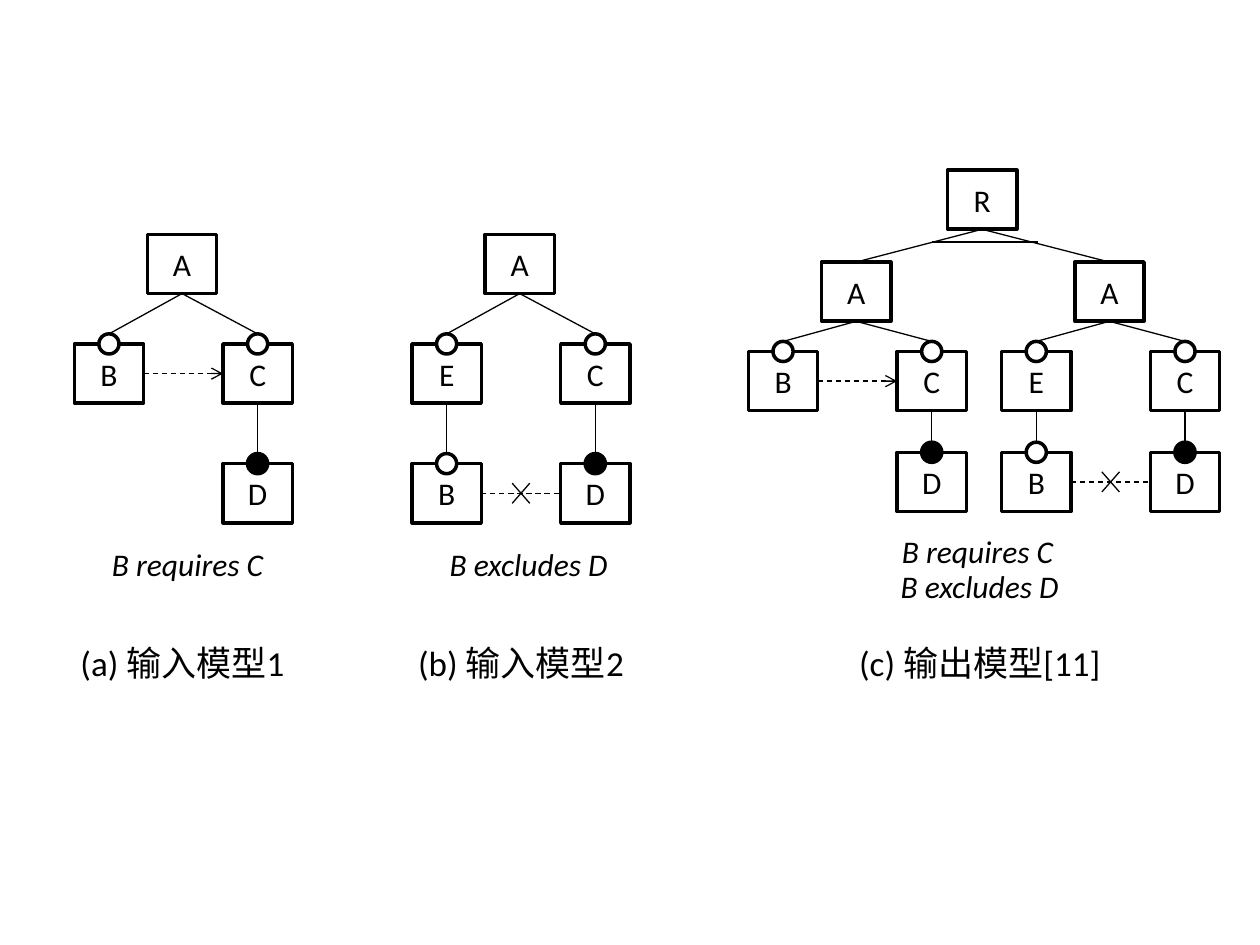
import pptx
import pptx.util
import pptx.dml.color
import pptx.enum.dml
import pptx.enum.shapes
import pptx.enum.text
from lxml import etree
from pptx.oxml.ns import qn

Inches, Pt = pptx.util.Inches, pptx.util.Pt
SHAPE = pptx.enum.shapes.MSO_SHAPE
COLORS = {"ink": "000000", "paper": "FFFFFF"}
FONT = "Calibri"

BOX_W, BOX_H, DOT = 0.55, 0.47, 0.16
COLUMNS = {"left": 0, "middle": 0.58, "right": 1.18}
INPUT_ROWS = (1.86, 2.73, 3.68)
OUTPUT_ROWS = (2.08, 2.79, 3.59)

# nodes: label, column, row, marker fill; edges: parent index, child index
REQUIRES = {
    "nodes": [("A", "middle", 0, None), ("B", "left", 1, "paper"),
              ("C", "right", 1, "paper"), ("D", "right", 2, "ink")],
    "edges": [(0, 1), (0, 2), (2, 3)],
    "constraint": ("requires", 1, 2),
}
EXCLUDES = {
    "nodes": [("A", "middle", 0, None), ("E", "left", 1, "paper"),
              ("C", "right", 1, "paper"), ("D", "right", 2, "ink"),
              ("B", "left", 2, "paper")],
    "edges": [(0, 1), (0, 2), (2, 3), (1, 4)],
    "constraint": ("excludes", 4, 3),
}
TREES = [
    (REQUIRES, 0.59, INPUT_ROWS),
    (EXCLUDES, 3.27, INPUT_ROWS),
    (REQUIRES, 5.94, OUTPUT_ROWS),
    (EXCLUDES, 7.95, OUTPUT_ROWS),
]
ROOT = ("R", 7.52, 1.35)
GROUP_BAR = (7.4, 8.24, 1.92)

# text, left, top, width
RULES = [
    ("B requires C", 0.79, 4.28, 1.42),
    ("B excludes D", 3.47, 4.28, 1.47),
    ("B requires C", 7.06, 4.17, 1.42),
    ("B excludes D", 7.05, 4.45, 1.47),
]
CAPTIONS = [
    ("(a) 输入模型1", 0.54, 5.04, 1.84),
    ("(b) 输入模型2", 3.22, 5.04, 1.85),
    ("(c) 输出模型[11]", 6.72, 5.04, 2.13),
]


def rgb(name):
    return pptx.dml.color.RGBColor.from_string(COLORS[name])


def set_font(p, size, italic=False):
    p.font.name, p.font.size, p.font.italic = FONT, Pt(size), italic
    p.font.color.rgb = rgb("ink")


def add_outlined(shapes, kind, x, y, w, h, fill):
    s = shapes.add_shape(kind, Inches(x), Inches(y), Inches(w), Inches(h))
    s.shadow.inherit = False
    s.fill.solid()
    s.fill.fore_color.rgb = rgb(fill)
    s.line.color.rgb = rgb("ink")
    s.line.width = Pt(2)
    return s


def add_box(shapes, label, x, y):
    s = add_outlined(shapes, SHAPE.RECTANGLE, x, y, BOX_W, BOX_H, "paper")
    tf = s.text_frame
    tf.vertical_anchor = pptx.enum.text.MSO_ANCHOR.MIDDLE
    p = tf.paragraphs[0]
    p.text = label
    p.alignment = pptx.enum.text.PP_ALIGN.CENTER
    set_font(p, 18)


def add_line(shapes, x1, y1, x2, y2, dashed=False, arrow=False):
    s = shapes.add_connector(pptx.enum.shapes.MSO_CONNECTOR.STRAIGHT,
                             Inches(x1), Inches(y1), Inches(x2), Inches(y2))
    s.line.color.rgb = rgb("ink")
    s.line.width = Pt(0.75)
    if dashed:
        s.line.dash_style = pptx.enum.dml.MSO_LINE.DASH
    if arrow:
        etree.SubElement(s.line._get_or_add_ln(), qn("a:tailEnd"), type="arrow")
    etree.SubElement(s._element.spPr, qn("a:effectLst"))


def add_tree(shapes, tree, left, rows):
    places = []
    for label, column, row, marker in tree["nodes"]:
        x, y = left + COLUMNS[column], rows[row]
        places.append((x, y))
        add_box(shapes, label, x, y)
        if marker:
            add_outlined(shapes, SHAPE.OVAL, x + (BOX_W - DOT) / 2, y - DOT / 2,
                         DOT, DOT, marker)
    for parent, child in tree["edges"]:
        (px, py), (cx, cy) = places[parent], places[child]
        add_line(shapes, px + BOX_W / 2, py + BOX_H, cx + BOX_W / 2, cy - DOT / 2)

    kind, source, target = tree["constraint"]
    x1, x2 = places[source][0] + BOX_W, places[target][0]
    y = places[source][1] + BOX_H / 2
    add_line(shapes, x1, y, x2, y, dashed=True, arrow=kind == "requires")
    if kind == "excludes":
        mid, dx, dy = (x1 + x2) / 2, 0.07, 0.08
        for sign in (1, -1):
            add_line(shapes, mid - dx, y - sign * dy, mid + dx, y + sign * dy)


def add_root(shapes):
    label, x, y = ROOT
    add_box(shapes, label, x, y)
    for _, left, rows in TREES[2:]:
        add_line(shapes, x + BOX_W / 2, y + BOX_H,
                 left + COLUMNS["middle"] + BOX_W / 2, rows[0])
    x1, x2, bar_y = GROUP_BAR
    add_line(shapes, x1, bar_y, x2, bar_y)


def add_text(shapes, text, x, y, w, h, size, italic=False, wrap=False):
    tf = shapes.add_textbox(Inches(x), Inches(y), Inches(w), Inches(h)).text_frame
    tf.word_wrap = wrap
    p = tf.paragraphs[0]
    p.text = text
    set_font(p, size, italic)


def main():
    prs = pptx.Presentation()
    prs.slide_width, prs.slide_height = Inches(10), Inches(7.5)
    shapes = prs.slides.add_slide(prs.slide_layouts[6]).shapes
    for tree, left, rows in TREES:
        add_tree(shapes, tree, left, rows)
    add_root(shapes)
    for text, x, y, w in RULES:
        add_text(shapes, text, x, y, w, 0.4, 18, italic=True)
    for text, x, y, w in CAPTIONS:
        add_text(shapes, text, x, y, w, 0.44, 20, wrap=True)
    prs.save("out.pptx")


if __name__ == "__main__":
    main()
